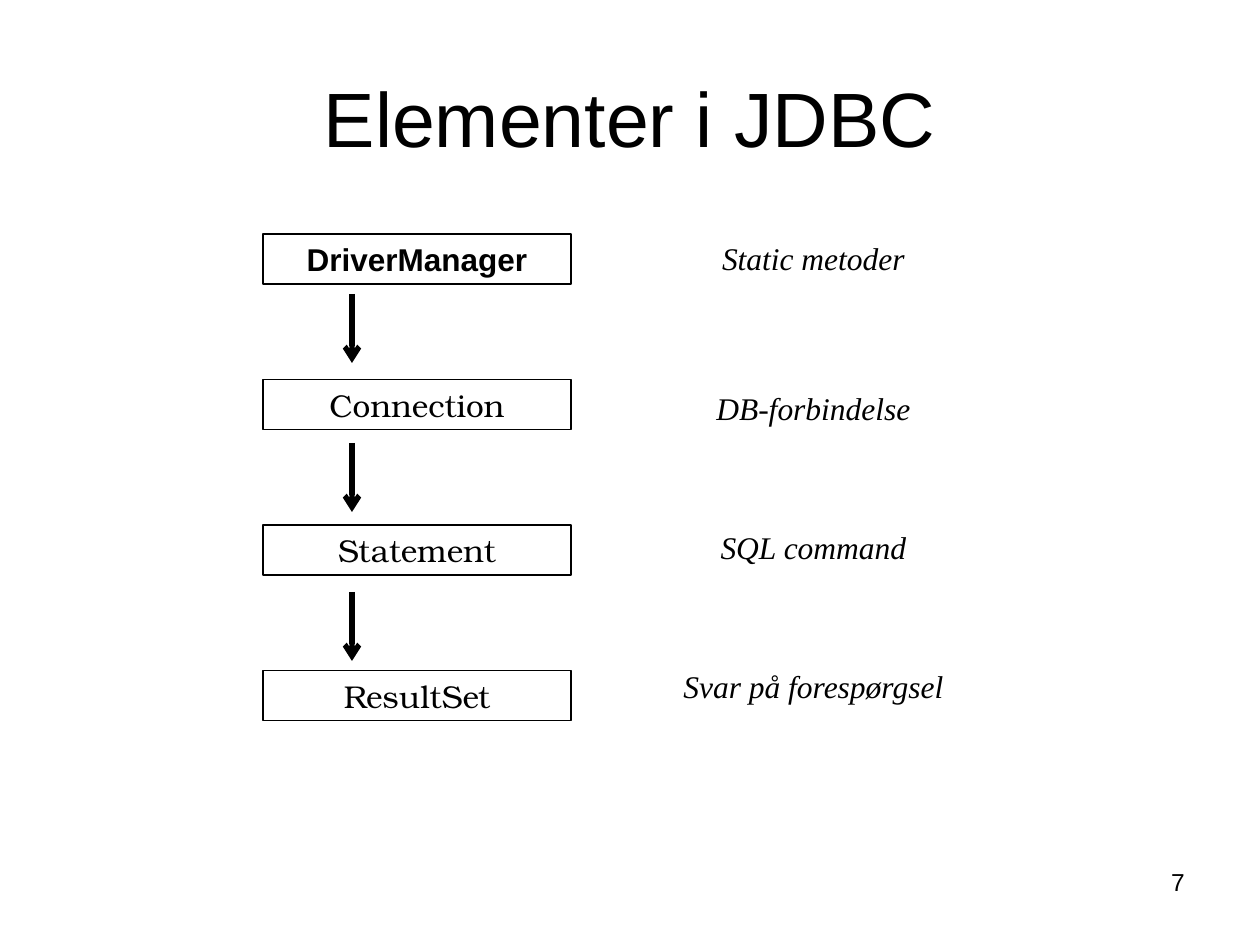
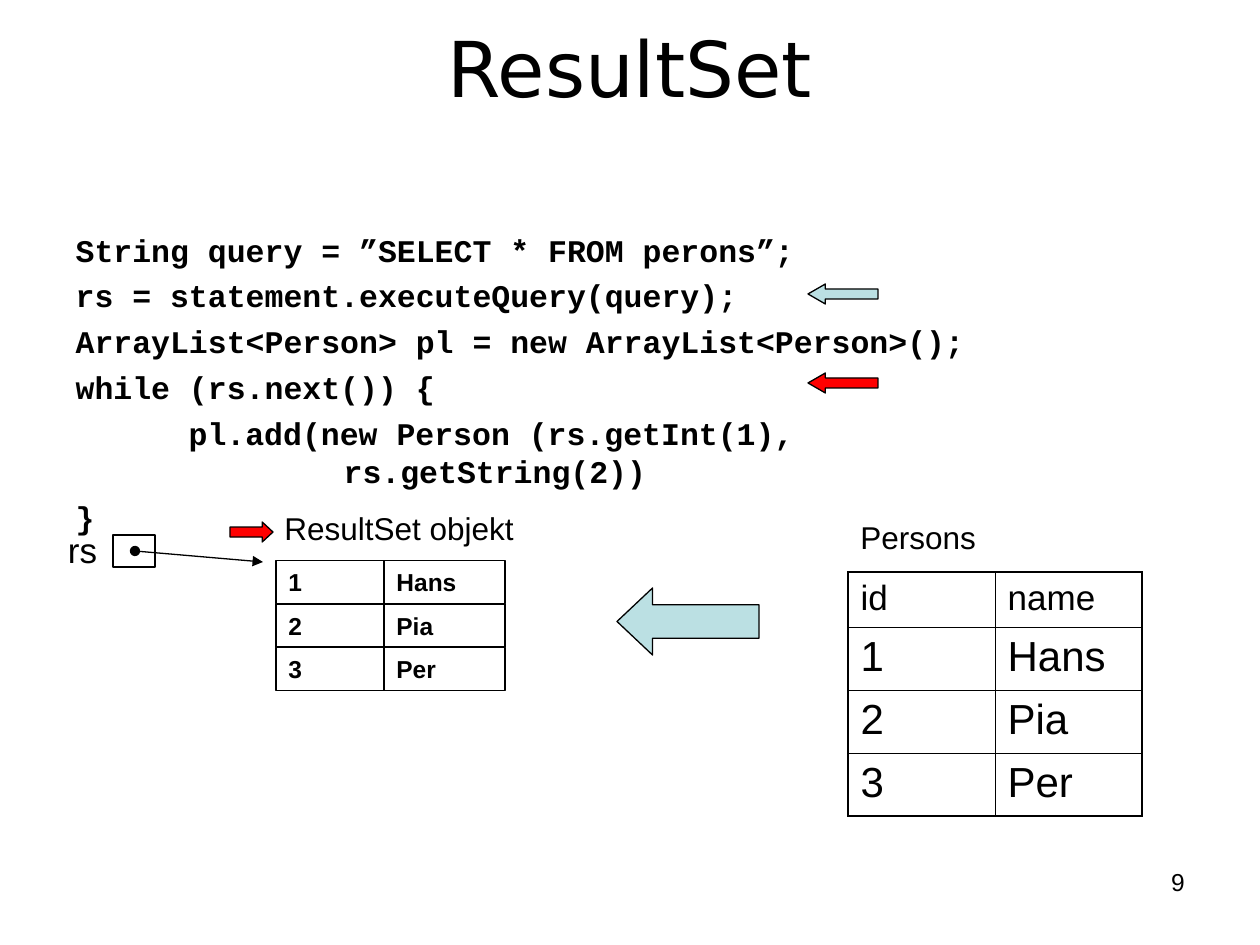
"""Build two slides on the parts of JDBC and the ResultSet class."""
import pptx
import pptx.util
import pptx.dml.color
import pptx.enum.shapes
import pptx.enum.text
import pptx.oxml
import pptx.oxml.ns

SHAPE = pptx.enum.shapes.MSO_SHAPE
ALIGN = pptx.enum.text.PP_ALIGN
ANCHOR = pptx.enum.text.MSO_ANCHOR
Pt = pptx.util.Pt

THEME = {
    "ink": "000000", "pale": "BBE0E3", "red": "FF0000",
    "thin": 0.75, "thick": 3, "inner": 0.45, "outer": 1.08,
    "title": {"name": "Arial", "size": 44},
    "class title": {"name": "DejaVu Sans", "size": 44},
    "page": {"name": "Arial", "size": 14},
    "label": {"name": "Arial", "size": 18},
    "large": {"name": "Arial", "size": 20},
    "data": {"name": "Arial", "size": 24},
    "row": {"name": "Arial", "size": 14, "bold": True},
    "class": {"name": "Arial", "size": 18, "bold": True},
    "face": {"name": "TeX Gyre Bonum", "size": 18},
    "note": {"name": "Times New Roman", "size": 18, "italic": True},
    "code": {"name": "Courier New", "size": 18, "bold": True},
}

STEPS = [
    ("DriverManager", "class", "Static metoder", 233),
    ("Connection", "face", "DB-forbindelse", 383),
    ("Statement", "face", "SQL command", 522),
    ("ResultSet", "face", "Svar på forespørgsel", 661),
]
CODE = [
    ("String query = ”SELECT * FROM perons”;", 0, 4.5),
    ("rs = statement.executeQuery(query);", 0, 4.5),
    ("ArrayList<Person> pl = new ArrayList<Person>();", 0, 4.5),
    ("while (rs.next()) {", 0, 4.5),
    ("pl.add(new Person (rs.getInt(1),", 113, 4.5),
    ("rs.getString(2))", 268, 0),
    ("}", 0, 4.5),
]
PEOPLE = [("1", "Hans"), ("2", "Pia"), ("3", "Per")]
HEAD = ("id", "name")
ARROWS = [
    ((617, 588, 142, 67), "pale", 0.53, 0),
    ((230, 522, 43, 20), "red", 0.54, 180),
    ((808, 284, 70, 20), "pale", 0.87, 0),
    ((808, 373, 70, 20), "red", 0.87, 0),
]
LABELS = [
    ("rs", (30, 522, 105, 55), "large", ALIGN.CENTER),
    ("Persons", (848, 512, 179, 50), "label", ALIGN.LEFT),
    ("ResultSet objekt", (272, 503, 297, 50), "label", ALIGN.LEFT),
]


def px(*vals):
    return [round(val * 914400 / 126) for val in vals]


def put(item, **vals):
    for key, val in vals.items():
        setattr(item, key, val)


def tint(name):
    return pptx.dml.color.RGBColor.from_string(THEME[name])


def place(shape, box):
    put(shape, **dict(zip(("left", "top", "width", "height"), px(*box))))


def style(para, kind, align=ALIGN.LEFT):
    para.alignment = align
    for run in para.runs:
        put(run.font, **{**THEME[kind], "size": Pt(THEME[kind]["size"])})
        run.font.color.rgb = tint("ink")


def write(shape, text, kind, align=ALIGN.LEFT):
    frame = shape.text_frame
    frame.text = text
    put(frame, word_wrap=True)
    style(frame.paragraphs[0], kind, align)


def label(slide, text, box, kind, align):
    write(slide.shapes.add_textbox(*px(*box)), text, kind, align)


def draw(slide, form, box, fill=None):
    shape = slide.shapes.add_shape(form, *px(*box))
    shape.shadow.inherit = False
    if fill:
        shape.fill.solid()
        shape.fill.fore_color.rgb = tint(fill)
    else:
        shape.fill.background()
    shape.line.color.rgb = tint("ink")
    shape.line.width = Pt(THEME["thin"])
    return shape


def link(slide, ends, width, **tips):
    line = slide.shapes.add_connector(
        pptx.enum.shapes.MSO_CONNECTOR.STRAIGHT, *px(*ends))
    line.line.color.rgb = tint("ink")
    line.line.width = Pt(THEME[width])
    stroke = line.line._get_or_add_ln()
    for tag, kind in tips.items():
        tip = pptx.oxml.ns.qn(f"a:{tag}")
        stroke.makeelement(tip, {})
        stroke.append(stroke.makeelement(tip, {"type": kind}))
    props = line._element.spPr
    props.append(props.makeelement(pptx.oxml.ns.qn("a:effectLst"), {}))


def edge(cell, sides):
    props = cell._tc.get_or_add_tcPr()
    space = pptx.oxml.ns.nsdecls("a")
    for side, width in sides.items():
        props.append(pptx.oxml.parse_xml(
            f'<a:ln{side} {space} w="{Pt(THEME[width])}"><a:solidFill>'
            f'<a:srgbClr val="{THEME["ink"]}"/></a:solidFill></a:ln{side}>'))
    cell.fill.background()


def start(deck, layout, title, kind, box, page):
    slide = deck.slides.add_slide(deck.slide_layouts[layout])
    place(slide.shapes.title, box)
    write(slide.shapes.title, title, kind, ALIGN.CENTER)
    put(slide.shapes.title.text_frame, vertical_anchor=ANCHOR.MIDDLE,
        auto_size=pptx.enum.text.MSO_AUTO_SIZE.NONE)
    label(slide, page, (903, 861, 294, 65), "page", ALIGN.RIGHT)
    return slide


def chain(deck):
    slide = start(deck, 5, "Elementer i JDBC", "title",
                  (63, 38, 1134, 157), "7")
    for rank, (name, kind, note, top) in enumerate(STEPS):
        box = draw(slide, SHAPE.RECTANGLE, (263, 234 + 145.5 * rank, 308, 50))
        write(box, name, kind, ALIGN.CENTER)
        label(slide, note, (655, top, 317, 50), "note", ALIGN.CENTER)
    for rank in range(len(STEPS) - 1):
        top = 294 + 149 * rank
        link(slide, (352, top, 352, top + 69), "thick", tailEnd="arrow")


def listing(slide):
    body = slide.placeholders[1]
    place(body, (63, 224, 1103, 625))
    frame = body.text_frame
    frame.text = "\n".join(line for line, _, _ in CODE)
    put(frame, auto_size=pptx.enum.text.MSO_AUTO_SIZE.NONE, word_wrap=True)
    for para, (_, indent, gap) in zip(frame.paragraphs, CODE):
        style(para, "code")
        put(para, space_before=Pt(gap), line_spacing=Pt(21.7))
        props = para._p.get_or_add_pPr()
        props.set("marL", str(px(indent)[0]))
        props.set("indent", "0")
        props.append(props.makeelement(pptx.oxml.ns.qn("a:buNone"), {}))


def grid(slide):
    rows = [HEAD, *PEOPLE]
    last = len(rows) - 1
    table = slide.shapes.add_table(
        len(rows), 2, *px(848, 572, 294, 244)).table
    put(table, first_row=False, horz_banding=False)
    for rank, row in enumerate(rows):
        table.rows[rank].height = px(63 if rank else 55)[0]
        for col, text in enumerate(row):
            cell = table.cell(rank, col)
            write(cell, text, "data" if rank else "large")
            rims = {"L": col == 0, "R": col == 1,
                    "T": rank == 0, "B": rank == last}
            edge(cell, {side: "outer" if rim else "inner"
                        for side, rim in rims.items()})


def result(deck):
    slide = start(deck, 1, "ResultSet", "class title",
                  (63, 38, 1134, 58), "9")
    listing(slide)
    grid(slide)
    draw(slide, SHAPE.RECTANGLE, (113, 535, 42, 32))
    link(slide, (135, 551, 263, 562), "thin", headEnd="oval",
         tailEnd="triangle")
    for rank, row in enumerate(PEOPLE):
        for text, left, width in zip(row, (276, 384), (108, 121)):
            box = draw(slide, SHAPE.RECTANGLE,
                       (left, 560.5 + 43.5 * rank, width, 43))
            write(box, text, "row")
    for item in LABELS:
        label(slide, *item)
    for box, fill, tip, turn in ARROWS:
        arrow = draw(slide, SHAPE.LEFT_ARROW, box, fill)
        arrow.adjustments[0] = 0.5
        arrow.adjustments[1] = tip
        arrow.rotation = turn


def main():
    deck = pptx.Presentation()
    put(deck, **dict(zip(("slide_width", "slide_height"), px(1260, 945))))
    chain(deck)
    result(deck)
    deck.save("out.pptx")


if __name__ == "__main__":
    main()
